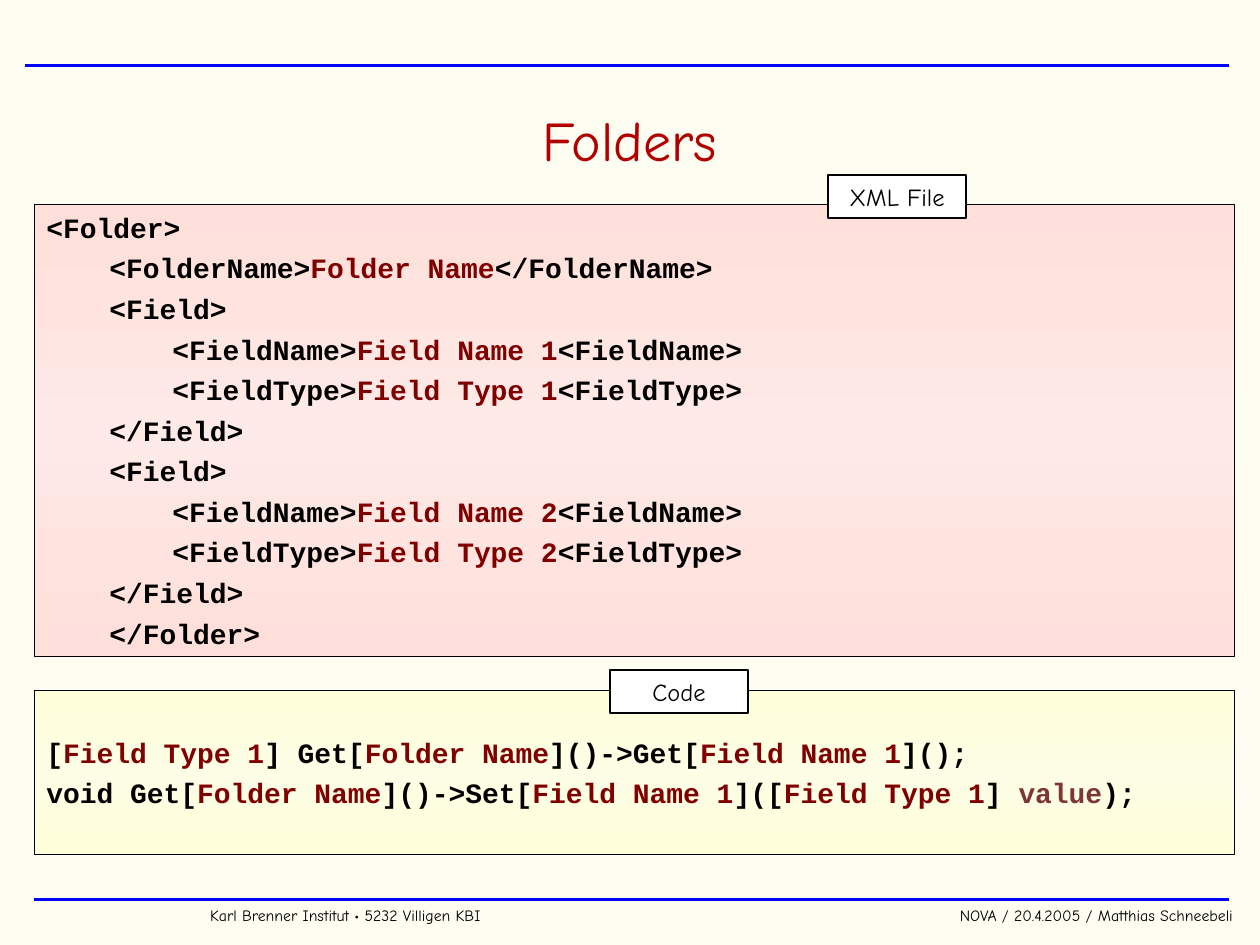
import copy

import pptx
import pptx.dml.color
import pptx.enum.shapes
import pptx.enum.text
import pptx.oxml.ns
import pptx.util

Inches = pptx.util.Inches
Pt = pptx.util.Pt
RGBColor = pptx.dml.color.RGBColor
ALIGN = pptx.enum.text.PP_ALIGN
ANCHOR = pptx.enum.text.MSO_ANCHOR

CREAM = RGBColor(0xFD, 0xFD, 0xF1)
BLUE = RGBColor(0x00, 0x00, 0xFF)
RED = RGBColor(0xB2, 0x00, 0x00)
BLACK = RGBColor(0x00, 0x00, 0x00)
WHITE = RGBColor(0xFF, 0xFF, 0xFF)
MAROON = RGBColor(0x80, 0x00, 0x00)
BROWN = RGBColor(0x7D, 0x35, 0x35)
PINK = RGBColor(0xFF, 0xDF, 0xD9)
PALE_PINK = RGBColor(0xFE, 0xEA, 0xE7)
YELLOW = RGBColor(0xFF, 0xFF, 0xD9)
PALE_YELLOW = RGBColor(0xFE, 0xFE, 0xE7)

HAND = "Comic Neue"
MONO = "Courier New"
PANEL_LEFT, PANEL_WIDTH = 0.27, 9.53


def apply(target, values):
    for name, value in values.items():
        setattr(target, name, value)


def field_lines(number):
    return [
        (1, [("<Field>", BLACK)]),
        *[(2, [(f"<Field{kind}>", BLACK),
               (f"Field {kind} {number}", MAROON),
               (f"<Field{kind}>", BLACK)]) for kind in ("Name", "Type")],
        (1, [("</Field>", BLACK)]),
    ]


class SlideBuilder:
    code_font = {"name": MONO, "size": Pt(16), "bold": True}
    label_font = {"name": HAND, "size": Pt(14)}
    footer_font = {"name": HAND, "size": Pt(9)}
    title_font = {"name": HAND, "size": Pt(32)}

    def __init__(self, deck):
        self.page = deck.slides.add_slide(deck.slide_layouts[5])
        fill = self.page.background.fill
        fill.solid()
        fill.fore_color.rgb = CREAM

    def span(self, para, text, font, color):
        span = para.add_run()
        span.text = text
        apply(span.font, font)
        span.font.color.rgb = color

    def title(self, text):
        box = self.page.shapes.title
        apply(box, {"left": 0, "top": Inches(0.91),
                    "width": Inches(10), "height": Inches(0.39)})
        apply(box.text_frame, {"vertical_anchor": ANCHOR.MIDDLE,
                               "auto_size": pptx.enum.text.MSO_AUTO_SIZE.NONE})
        para = box.text_frame.paragraphs[0]
        para.alignment = ALIGN.CENTER
        self.span(para, text, self.title_font, RED)

    def rule(self, left, top, right):
        line = self.page.shapes.add_connector(
            pptx.enum.shapes.MSO_CONNECTOR.STRAIGHT,
            Inches(left), Inches(top), Inches(right), Inches(top))
        line.line.width = Pt(2)
        line.line.color.rgb = BLUE
        properties = line._element.spPr
        properties.append(properties.makeelement(
            pptx.oxml.ns.qn("a:effectLst"), {}))

    def footer(self, left, width, text, alignment):
        box = self.page.shapes.add_textbox(
            Inches(left), Inches(7.14), Inches(width), Inches(0.25))
        box.text_frame.word_wrap = True
        para = box.text_frame.paragraphs[0]
        para.alignment = alignment
        self.span(para, text, self.footer_font, BLACK)

    def rectangle(self, left, top, width, height, line_width):
        box = self.page.shapes.add_shape(
            pptx.enum.shapes.MSO_SHAPE.RECTANGLE,
            Inches(left), Inches(top), Inches(width), Inches(height))
        box.shadow.inherit = False
        box.line.width = Pt(line_width)
        box.line.color.rgb = BLACK
        box.text_frame.word_wrap = True
        return box

    def gradient(self, box, edge, middle):
        fill = box.fill
        fill.gradient()
        fill.gradient_angle = 90
        first = fill.gradient_stops[0]._gs
        first.addnext(copy.deepcopy(first))
        for stop, position, color in zip(
                fill.gradient_stops, (0, 0.5, 1), (edge, middle, edge)):
            stop.position = position
            stop.color.rgb = color

    def panel(self, top, height, edge, middle, anchor, lines):
        box = self.rectangle(PANEL_LEFT, top, PANEL_WIDTH, height, 0.5)
        self.gradient(box, edge, middle)
        frame = box.text_frame
        frame.vertical_anchor = anchor
        for index, (level, spans) in enumerate(lines):
            para = frame.add_paragraph() if index else frame.paragraphs[0]
            apply(para, {"alignment": ALIGN.LEFT, "level": level,
                         "space_before": Pt(4)})
            para._p.get_or_add_pPr().set("marL", str(Inches(0.5 * level)))
            for text, color in spans:
                self.span(para, text, self.code_font, color)

    def label(self, left, top, text):
        box = self.rectangle(left, top, 1.1, 0.34, 1)
        box.fill.solid()
        box.fill.fore_color.rgb = WHITE
        box.text_frame.vertical_anchor = ANCHOR.MIDDLE
        para = box.text_frame.paragraphs[0]
        para.alignment = ALIGN.CENTER
        self.span(para, text, self.label_font, BLACK)


def main():
    deck = pptx.Presentation()
    apply(deck, {"slide_width": Inches(10), "slide_height": Inches(7.5)})
    slide = SlideBuilder(deck)

    slide.rule(0.2, 0.52, 9.75)
    slide.rule(0.27, 7.14, 9.75)
    slide.footer(1.57, 4, "Karl Brenner Institut • 5232 Villigen KBI", ALIGN.LEFT)
    slide.footer(5.88, 4, "NOVA / 20.4.2005 / Matthias Schneebeli", ALIGN.RIGHT)
    slide.title("Folders")

    xml_lines = [
        (0, [("<Folder>", BLACK)]),
        (1, [("<FolderName>", BLACK), ("Folder Name", MAROON),
             ("</FolderName>", BLACK)]),
        *field_lines(1),
        *field_lines(2),
        (1, [("</Folder>", BLACK)]),
    ]
    slide.panel(1.62, 3.59, PINK, PALE_PINK, ANCHOR.TOP, xml_lines)
    slide.label(6.57, 1.39, "XML File")

    code_lines = [
        (0, [("[", BLACK), ("Field Type 1", MAROON), ("] Get[", BLACK),
             ("Folder Name", MAROON), ("]()->Get[", BLACK),
             ("Field Name 1", MAROON), ("]();", BLACK)]),
        (0, [("void Get[", BLACK), ("Folder Name", MAROON),
             ("]()->Set[", BLACK), ("Field Name 1", MAROON),
             ("]([", BLACK), ("Field Type 1", MAROON), ("] ", BLACK),
             ("value", BROWN), (");", BLACK)]),
    ]
    slide.panel(5.48, 1.3, YELLOW, PALE_YELLOW, ANCHOR.MIDDLE, code_lines)
    slide.label(4.84, 5.32, "Code")

    deck.save("out.pptx")


if __name__ == "__main__":
    main()
